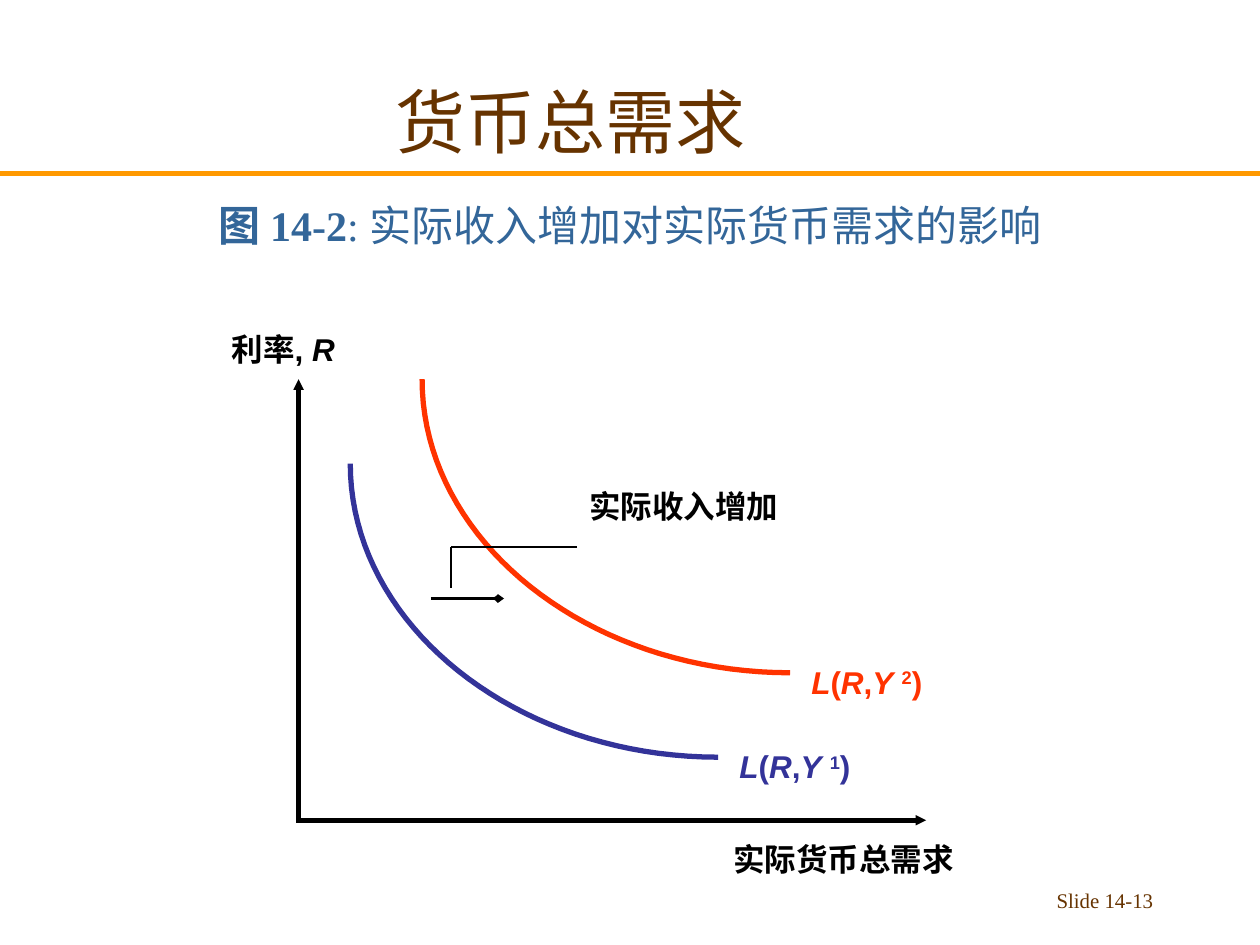
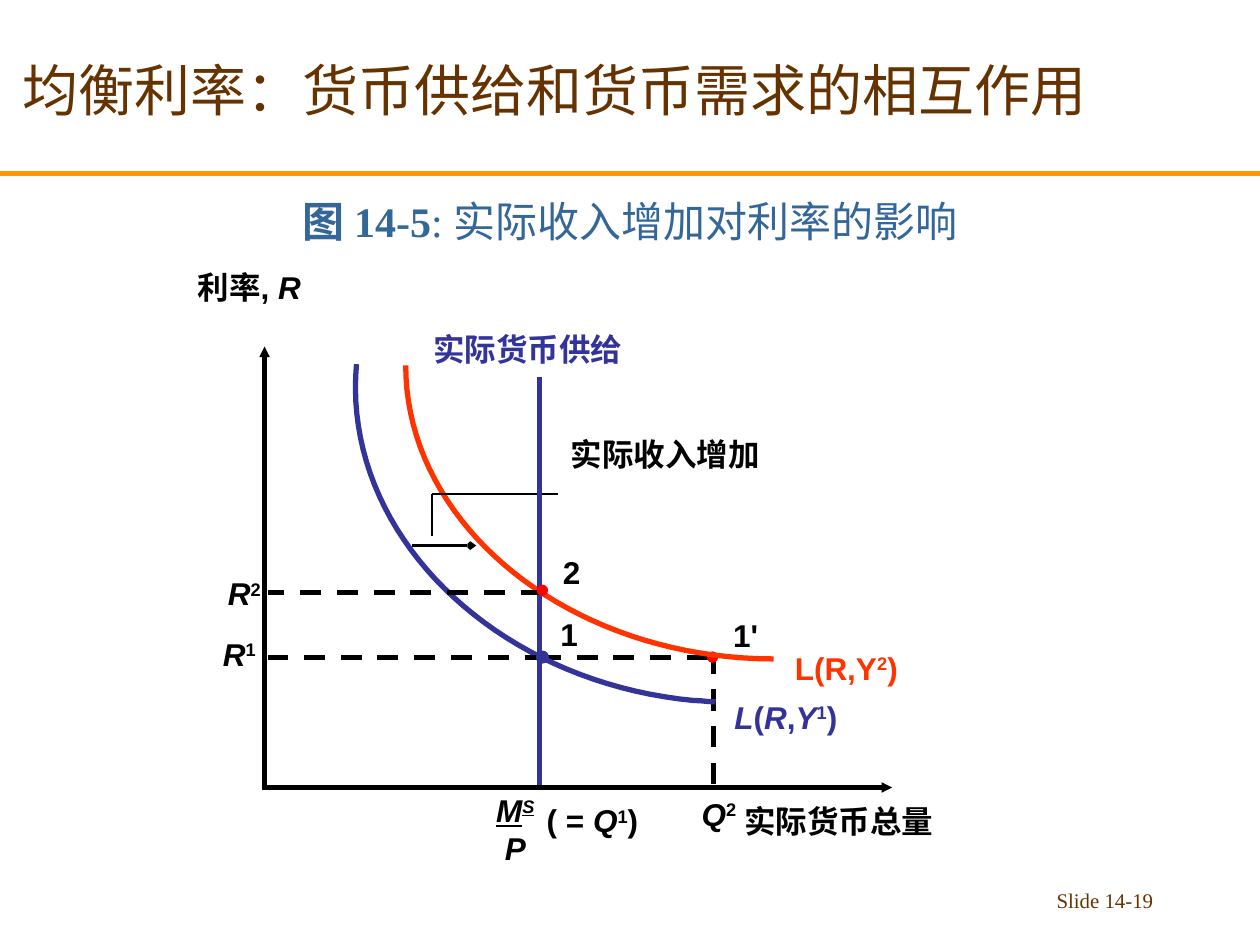
from lxml import etree
from pptx import Presentation
from pptx.dml.color import RGBColor
from pptx.enum.dml import MSO_LINE
from pptx.enum.shapes import MSO_CONNECTOR, MSO_SHAPE
from pptx.enum.text import MSO_ANCHOR, MSO_AUTO_SIZE, PP_ALIGN
from pptx.oxml.ns import qn
from pptx.util import Inches, Pt

LEFT, CENTER, RIGHT = PP_ALIGN.LEFT, PP_ALIGN.CENTER, PP_ALIGN.RIGHT
TOP, MIDDLE, BOTTOM = MSO_ANCHOR.TOP, MSO_ANCHOR.MIDDLE, MSO_ANCHOR.BOTTOM
STRAIGHT, OVAL, DASH = MSO_CONNECTOR.STRAIGHT, MSO_SHAPE.OVAL, MSO_LINE.DASH
NO_FIT = MSO_AUTO_SIZE.NONE

W, H = 10, 7.5
BLACK, BROWN, STEEL, ORANGE = "000000", "663300", "336699", "FF9900"
BLUE, RED, DOT_RED = "333399", "FF3300", "FF0000"
SERIF, SANS = "Times New Roman", "Arial"
AXIS_W, AXIS_H = 5, 3.5
ARC_W, ARC_H = 2.92, 2.33
LABEL_H, LABEL_SLACK, DOT = 0.4, 0.1, 0.09

FORMATS = {
    "title": {"name": SERIF, "color": BROWN},
    "caption": {"name": SERIF, "size": 24, "color": STEEL},
    "footer": {"name": SERIF, "size": 11.9, "color": BROWN},
    "label": {"name": SANS, "size": 18, "bold": True},
}


def demand(income, level):
    return [("L", "i"), ("(", ""), ("R", "i"), (",", ""),
            (income, "i"), (level, "s"), (")", "")]


def indexed(letter, level):
    return [(letter, "i"), (level, "s")]


RATE = [("利率, ", ""), ("R", "i")]
TILTED = [
    [(5.68, 5.57), (5.62, 5.57), (5.57, 5.56), (5.51, 5.56)],
    [(5.51, 5.56), (3.91, 5.41), (2.71, 4.22), (2.83, 2.89)],
]

SLIDES = [
    {
        "title": ("货币总需求", 40, CENTER, (0.47, 0.33, 8.11, 1.25)),
        "caption": ("图 14-2", ": 实际收入增加对实际货币需求的影响", (0, 1.17, W, 0.86)),
        "number": "Slide 14-13",
        "parts": [
            ("arc", 3.35, 3.01, RED, demand("Y ", "2"), 1.08),
            ("shift", 3.58, 4.34, 0.58),
            ("arc", 2.78, 3.68, BLUE, demand("Y ", "1"), 1.08),
            ("axes", 2.37, 6.51, 2.57),
            ("label", [("实际货币总需求", "")], 5.72, 6.62, 1.95),
        ],
    },
    {
        "title": ("均衡利率：货币供给和货币需求的相互作用", 32, LEFT, (0.08, 0.08, 9.92, 1.25)),
        "caption": ("图 14-5", ": 实际收入增加对利率的影响", (0, 1.33, W, 0.67)),
        "number": "Slide 14-19",
        "parts": [
            ("dashes", 5.62, 5.22, 4.3, 5.22),
            ("dashes", 5.66, 5.18, 5.66, 6.26),
            ("label", indexed("Q", "2"), 5.47, 6.26, 0.47),
            ("dot", 5.61, 5.17, DOT_RED),
            ("label", [("1'", "")], 5.72, 4.84, 0.4),
            ("curve", TILTED, BLUE),
            ("label", demand("Y", "1"), 5.73, 5.49, 1.01, BLUE),
            ("arc", 3.22, 2.9, RED, [("L(R,Y", ""), ("2", "s"), (")", "")], 1.01),
            ("shift", 3.43, 3.92, 0.51),
            ("line", 4.28, 2.99, 4.28, 6.24, BLUE),
            ("label", [("实际货币供给", "")], 3.34, 2.57, 1.7, BLUE),
            ("fraction", [("M", "iu"), ("S", "ius")], [("P", "i")], 3.74, 6.23, 0.7),
            ("label", [("( = ", ""), *indexed("Q", "1"), (")", "")], 4.24, 6.31, 0.92),
            ("dashes", 4.3, 4.7, 2.13, 4.7),
            ("label", indexed("R", "2"), 1.71, 4.51, 0.46),
            ("label", [("2", "")], 4.37, 4.34, 0.34),
            ("dot", 4.26, 4.64, DOT_RED),
            ("dashes", 4.33, 5.22, 2.13, 5.22),
            ("label", indexed("R", "1"), 1.67, 4.99, 0.46),
            ("dot", 4.26, 5.17, BLUE),
            ("label", [("1", "")], 4.35, 4.83, 0.34),
            ("axes", 2.1, 6.25, 2.08),
            ("label", [("实际货币总量", "")], 5.81, 6.32, 1.7),
        ],
    },
]


def rgb(color):
    return RGBColor.from_string(color)


def add_text(s, box, paragraphs, style, align=LEFT, anchor=TOP, **extra):
    tf = s.shapes.add_textbox(*map(Inches, box)).text_frame
    settings = {"word_wrap": True, "vertical_anchor": anchor, "auto_size": NO_FIT}
    for key, value in settings.items():
        setattr(tf, key, value)
    for i, runs in enumerate(paragraphs):
        p = tf.add_paragraph() if i else tf.paragraphs[0]
        p.alignment = align
        for text, flags in runs:
            r = p.add_run()
            r.text = text
            values = {**FORMATS[style], **extra}
            r.font.color.rgb = rgb(values.pop("color"))
            values["size"] = Pt(values["size"])
            for key, flag in (("bold", "b"), ("italic", "i"), ("underline", "u")):
                if flag in flags:
                    values[key] = True
            for key, value in values.items():
                setattr(r.font, key, value)
            if "s" in flags:
                r._r.get_or_add_rPr().set("baseline", "30000")


def add_line(s, x1, y1, x2, y2, color=BLACK, width=3, dash=None, end=None):
    line = s.shapes.add_connector(STRAIGHT, *map(Inches, (x1, y1, x2, y2)))
    line.line.color.rgb = rgb(color)
    line.line.width = Pt(width)
    if dash:
        line.line.dash_style = dash
    spPr = line._element.spPr
    if end:
        etree.SubElement(spPr.find(qn("a:ln")), qn("a:tailEnd"),
                         type=end, w="sm", len="sm")
    etree.SubElement(spPr, qn("a:effectLst"))


def add_dashes(s, *ends):
    add_line(s, *ends, dash=DASH)


def add_label(s, runs, x, y, width, color=BLACK):
    add_text(s, (x, y, width + LABEL_SLACK, LABEL_H), [runs], "label", color=color)


def add_fraction(s, upper, lower, x, y, width):
    add_text(s, (x, y, width, 0.7), [upper, lower], "label", CENTER, color=BLACK)


def add_dot(s, x, y, color):
    sp = s.shapes.add_shape(OVAL, *map(Inches, (x, y, DOT, DOT)))
    sp.shadow.inherit = False
    sp.fill.solid()
    sp.fill.fore_color.rgb = rgb(color)
    if color == BLUE:
        sp.line.color.rgb = rgb(color)
        sp.line.width = Pt(1)
    else:
        sp.line.fill.background()


def bezier(a, b, c, d, steps=40):
    for i in range(steps + 1):
        t = i / steps
        u = 1 - t
        weights = u ** 3, 3 * u * u * t, 3 * u * t * t, t ** 3
        yield tuple(Inches(sum(w * q[k] for w, q in zip(weights, (a, b, c, d))))
                    for k in (0, 1))


def add_curve(s, segments, color):
    points = [point for segment in segments for point in bezier(*segment)]
    fb = s.shapes.build_freeform(*points[0])
    fb.add_line_segments(points[1:], close=False)
    sp = fb.convert_to_shape()
    sp.shadow.inherit = False
    sp.fill.background()
    sp.line.color.rgb = rgb(color)
    sp.line.width = Pt(3)


def add_arc(s, x, y, color, runs, width):
    right, bottom = x + ARC_W, y + ARC_H
    add_curve(s, [[(right, bottom), (x + 0.45 * ARC_W, bottom),
                   (x, y + 0.55 * ARC_H), (x, y)]], color)
    add_label(s, runs, right + 0.07, bottom - 0.13, width, color)


def add_shift(s, x, y, length):
    add_line(s, x - 0.16, y + 0.41, x - 0.16 + length, y + 0.41, width=2, end="arrow")
    add_label(s, [("实际收入增加", "")], x + 1, y - 0.52, 1.7)
    add_line(s, x + 1, y, x, y, width=1)
    add_line(s, x, y, x, y + 0.33, width=1)


def add_axes(s, x, y, label_top):
    add_line(s, x, y, x, y - AXIS_H, end="triangle")
    add_line(s, x - 0.02, y, x - 0.02 + AXIS_W, y, end="triangle")
    add_label(s, RATE, x - 0.63, label_top, 1.08)


DRAW = {"line": add_line, "dashes": add_dashes, "label": add_label,
        "fraction": add_fraction, "dot": add_dot, "curve": add_curve,
        "arc": add_arc, "shift": add_shift, "axes": add_axes}


def add_frame(s, title, caption, number):
    text, size, align, box = title
    figure, subject, caption_box = caption
    add_line(s, 0, 1.38, W, 1.38, ORANGE)
    add_text(s, (7.17, 7, 2.08, 0.33), [[(number, "")]], "footer", RIGHT)
    add_text(s, box, [[(text, "")]], "title", align, MIDDLE, size=size)
    add_text(s, caption_box, [[(figure, "b"), (subject, "")]], "caption", CENTER, BOTTOM)


def main():
    prs = Presentation()
    prs.slide_width, prs.slide_height = Inches(W), Inches(H)
    for content in SLIDES:
        s = prs.slides.add_slide(prs.slide_layouts[6])
        add_frame(s, content["title"], content["caption"], content["number"])
        for kind, *values in content["parts"]:
            DRAW[kind](s, *values)
    prs.save("out.pptx")


if __name__ == "__main__":
    main()
